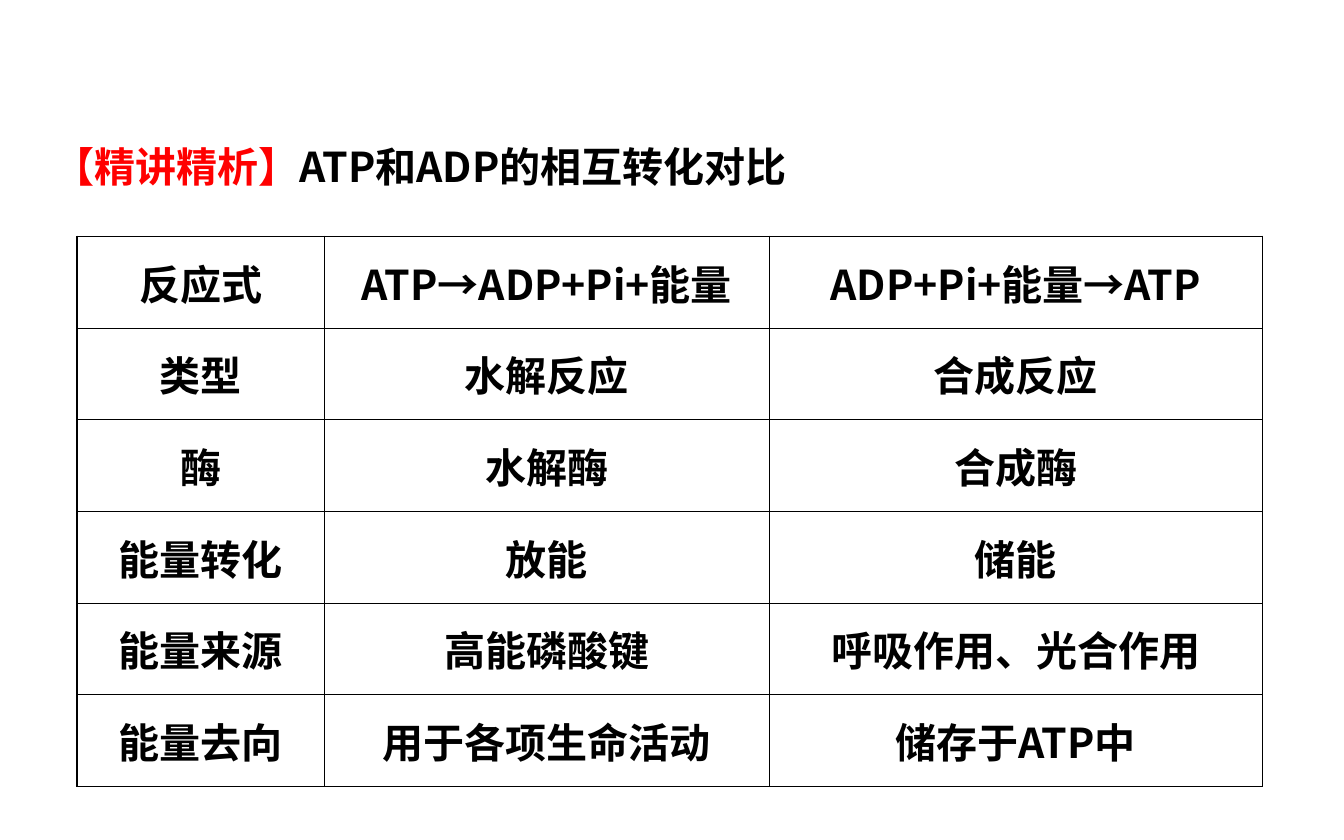
import dataclasses

import lxml.etree
import pptx
import pptx.dml.color
import pptx.enum.text
import pptx.oxml.ns
import pptx.util

Pt = pptx.util.Pt
FONT = "Noto Sans CJK SC"
BLACK = "000000"
RED = "FF0000"
OUTER_LINE = 0.96
INNER_LINE = 0.45
COLUMN_WIDTHS = (132.6, 238.2, 264.4)
ROW_HEIGHT = 49.1


@dataclasses.dataclass(frozen=True)
class Comparison:
    topic: str
    hydrolysis: str
    synthesis: str


COMPARISONS = (
    Comparison("反应式", "ATP→ADP+Pi+能量", "ADP+Pi+能量→ATP"),
    Comparison("类型", "水解反应", "合成反应"),
    Comparison("酶", "水解酶", "合成酶"),
    Comparison("能量转化", "放能", "储能"),
    Comparison("能量来源", "高能磷酸键", "呼吸作用、光合作用"),
    Comparison("能量去向", "用于各项生命活动", "储存于ATP中"),
)


def color(value: str) -> pptx.dml.color.RGBColor:
    return pptx.dml.color.RGBColor.from_string(value)


def add_element(parent, tag: str, **attributes: str):
    return lxml.etree.SubElement(parent, pptx.oxml.ns.qn(tag), attributes)


def style_paragraph(para) -> None:
    para.font.size = Pt(22)
    para.font.bold = True
    para.font.color.rgb = color(BLACK)
    para.font.name = FONT
    properties = para._p.pPr.find(pptx.oxml.ns.qn("a:defRPr"))
    add_element(properties, "a:ea", typeface=FONT)


def add_border(cell, side: str, width: float) -> None:
    properties = cell._tc.get_or_add_tcPr()
    line = add_element(properties, f"a:ln{side}", w=str(int(Pt(width))))
    add_element(add_element(line, "a:solidFill"), "a:srgbClr", val=BLACK)


def add_heading(page) -> None:
    box = page.shapes.add_textbox(Pt(21.6), Pt(59), Pt(679), Pt(46.8))
    box.text_frame.word_wrap = True
    para = box.text_frame.paragraphs[0]
    para.line_spacing = 1.5
    style_paragraph(para)
    label = para.add_run()
    label.text = "【精讲精析】"
    label.font.color.rgb = color(RED)
    para.add_run().text = "ATP和ADP的相互转化对比"


def fill_cell(cell, text: str, edges: dict[str, bool]) -> None:
    cell.vertical_anchor = pptx.enum.text.MSO_ANCHOR.MIDDLE
    para = cell.text_frame.paragraphs[0]
    para.alignment = pptx.enum.text.PP_ALIGN.CENTER
    style_paragraph(para)
    para.add_run().text = text
    for side, outer in edges.items():
        add_border(cell, side, OUTER_LINE if outer else INNER_LINE)
    cell.fill.background()


def add_comparison_table(page) -> None:
    row_count, column_count = len(COMPARISONS), len(COLUMN_WIDTHS)
    table = page.shapes.add_table(
        row_count, column_count, Pt(41.2), Pt(126.7),
        Pt(sum(COLUMN_WIDTHS)), Pt(ROW_HEIGHT * row_count),
    ).table
    table.first_row = False
    table.horz_banding = False
    for column, width in zip(table.columns, COLUMN_WIDTHS):
        column.width = Pt(width)
    for row_index, comparison in enumerate(COMPARISONS):
        table.rows[row_index].height = Pt(ROW_HEIGHT)
        for column_index, text in enumerate(dataclasses.astuple(comparison)):
            edges = {
                "L": column_index == 0,
                "R": column_index == column_count - 1,
                "T": row_index == 0,
                "B": row_index == row_count - 1,
            }
            fill_cell(table.cell(row_index, column_index), text, edges)


def main() -> None:
    deck = pptx.Presentation()
    deck.slide_width = Pt(720)
    deck.slide_height = Pt(450)
    page = deck.slides.add_slide(deck.slide_layouts[6])
    add_heading(page)
    add_comparison_table(page)
    deck.save("out.pptx")


if __name__ == "__main__":
    main()
